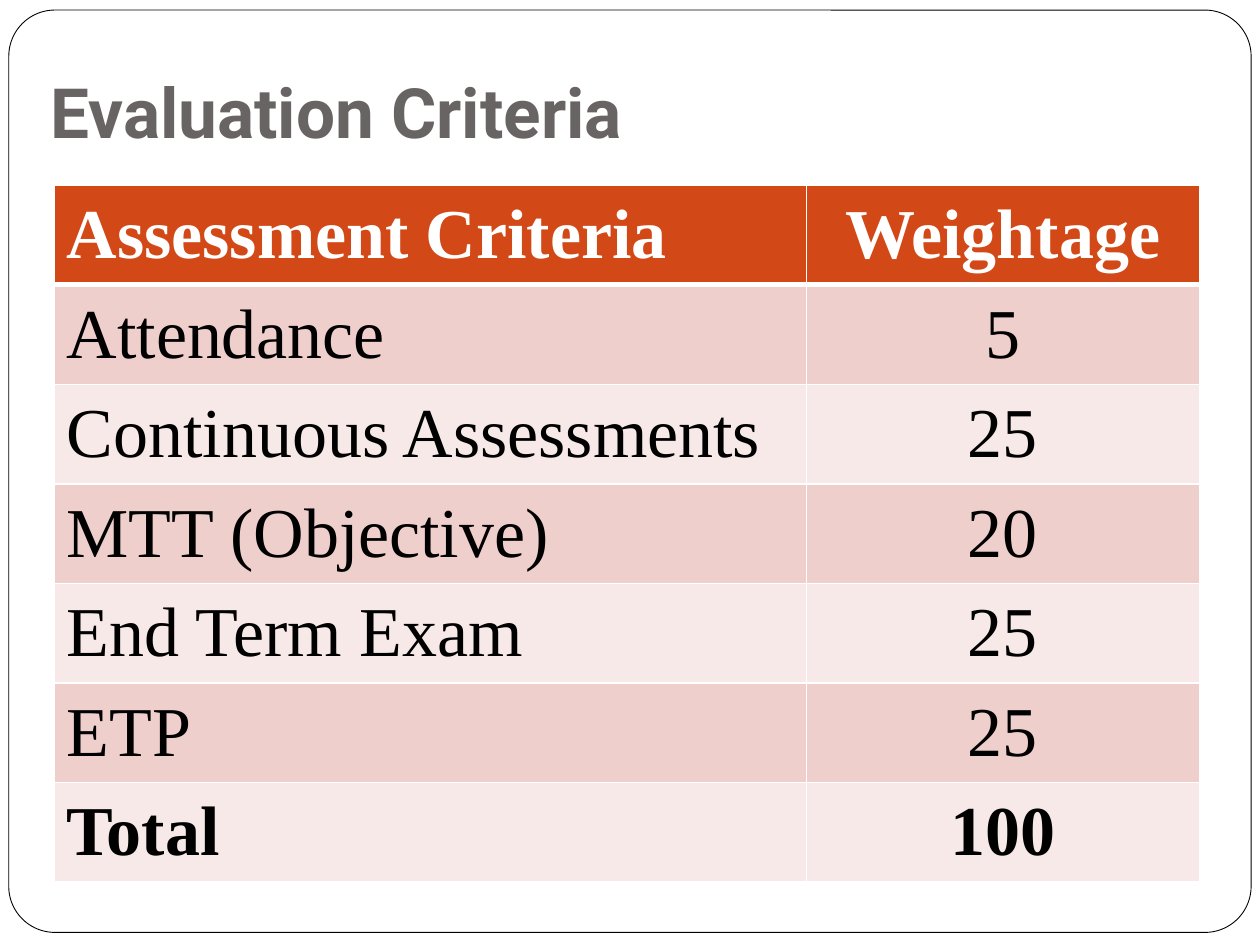
from dataclasses import dataclass

from lxml import etree
from pptx import Presentation
from pptx.dml.color import RGBColor
from pptx.enum.shapes import MSO_SHAPE
from pptx.enum.text import MSO_ANCHOR, MSO_AUTO_SIZE, PP_ALIGN
from pptx.oxml.ns import qn
from pptx.slide import Slide
from pptx.table import _Cell
from pptx.util import Inches, Pt

ROUNDED = MSO_SHAPE.ROUNDED_RECTANGLE
MIDDLE, BOTTOM = MSO_ANCHOR.MIDDLE, MSO_ANCHOR.BOTTOM
LEFT, CENTER = PP_ALIGN.LEFT, PP_ALIGN.CENTER
TITLE_ONLY = 5


@dataclass(frozen=True)
class Theme:
    white: str = "FFFFFF"
    black: str = "000000"
    title: str = "696464"
    header: str = "D34817"
    bands: tuple[str, str] = ("EFCFCC", "F7E9E8")
    title_font: str = "Roboto"
    table_font: str = "Times New Roman"
    title_size: float = 39.6
    table_size: float = 40
    rule: float = 1
    header_rule: float = 3


@dataclass(frozen=True)
class Criterion:
    name: str
    weight: str
    bold: bool = False


THEME = Theme()
CRITERIA = [
    Criterion("Assessment Criteria", "Weightage", bold=True),
    Criterion("Attendance", "5"),
    Criterion("Continuous Assessments", "25"),
    Criterion("MTT (Objective)", "20"),
    Criterion("End Term Exam", "25"),
    Criterion("ETP", "25"),
    Criterion("Total", "100", bold=True),
]
COLUMN_WIDTHS = (5.97, 3.12)
ROW_HEIGHT = 0.79


def rgb(value: str) -> RGBColor:
    return RGBColor.from_string(value)


def add_title(s: Slide, text: str) -> None:
    sp = s.shapes.title
    sp.left, sp.top = Inches(0.3), Inches(0.6)
    sp.width, sp.height = Inches(9.37), Inches(0.71)
    tf = sp.text_frame
    tf.text = text
    tf.word_wrap = True
    tf.auto_size = MSO_AUTO_SIZE.NONE
    tf.vertical_anchor = BOTTOM
    tf.margin_left = tf.margin_right = tf.margin_bottom = Inches(0.1)
    tf.margin_top = Inches(0.05)
    p = tf.paragraphs[0]
    p.alignment = LEFT
    p.font.name = THEME.title_font
    p.font.size = Pt(THEME.title_size)
    p.font.bold = True
    p.font.color.rgb = rgb(THEME.title)


def add_frame(s: Slide) -> None:
    sp = s.shapes.add_shape(ROUNDED, Inches(0.07), Inches(0.08), Inches(9.86), Inches(7.32))
    sp.adjustments[0] = 0.05
    sp.shadow.inherit = False
    sp.fill.solid()
    sp.fill.fore_color.rgb = rgb(THEME.white)
    sp.line.color.rgb = rgb(THEME.black)
    sp.line.width = Pt(0.5)
    # Keep the frame behind the title
    s.shapes.title.element.addprevious(sp.element)


def set_borders(cell: _Cell, top: float, bottom: float) -> None:
    tc_pr = cell._tc.get_or_add_tcPr()
    widths = {"a:lnL": THEME.rule, "a:lnR": THEME.rule, "a:lnT": top, "a:lnB": bottom}
    for tag, width in widths.items():
        ln = etree.SubElement(tc_pr, qn(tag), w=str(Pt(width)))
        fill = etree.SubElement(ln, qn("a:solidFill"))
        etree.SubElement(fill, qn("a:srgbClr"), val=THEME.white)


def format_cell(cell: _Cell, text: str, row: int, align: PP_ALIGN, bold: bool) -> None:
    is_header = row == 0
    set_borders(
        cell,
        top=THEME.header_rule if row == 1 else THEME.rule,
        bottom=THEME.header_rule if is_header else THEME.rule,
    )
    cell.fill.solid()
    cell.fill.fore_color.rgb = rgb(THEME.header if is_header else THEME.bands[(row - 1) % 2])
    cell.vertical_anchor = MIDDLE
    cell.text = text
    p = cell.text_frame.paragraphs[0]
    p.alignment = align
    p.font.name = THEME.table_font
    p.font.size = Pt(THEME.table_size)
    p.font.bold = bold
    p.font.color.rgb = rgb(THEME.white if is_header else THEME.black)


def add_criteria_table(s: Slide, criteria: list[Criterion]) -> None:
    table = s.shapes.add_table(
        len(criteria), len(COLUMN_WIDTHS), Inches(0.43), Inches(1.47),
        Inches(sum(COLUMN_WIDTHS)), Inches(ROW_HEIGHT * len(criteria)),
    ).table
    for column, width in zip(table.columns, COLUMN_WIDTHS):
        column.width = Inches(width)
    for i, criterion in enumerate(criteria):
        table.rows[i].height = Inches(ROW_HEIGHT)
        format_cell(table.cell(i, 0), criterion.name, i, LEFT, criterion.bold)
        format_cell(table.cell(i, 1), criterion.weight, i, CENTER, criterion.bold)


def main() -> None:
    prs = Presentation()
    prs.slide_width, prs.slide_height = Inches(10), Inches(7.5)
    s = prs.slides.add_slide(prs.slide_layouts[TITLE_ONLY])

    # Heading and rounded page frame
    add_title(s, "Evaluation Criteria")
    add_frame(s)

    # Assessment weights
    add_criteria_table(s, CRITERIA)

    prs.save("out.pptx")


if __name__ == "__main__":
    main()
